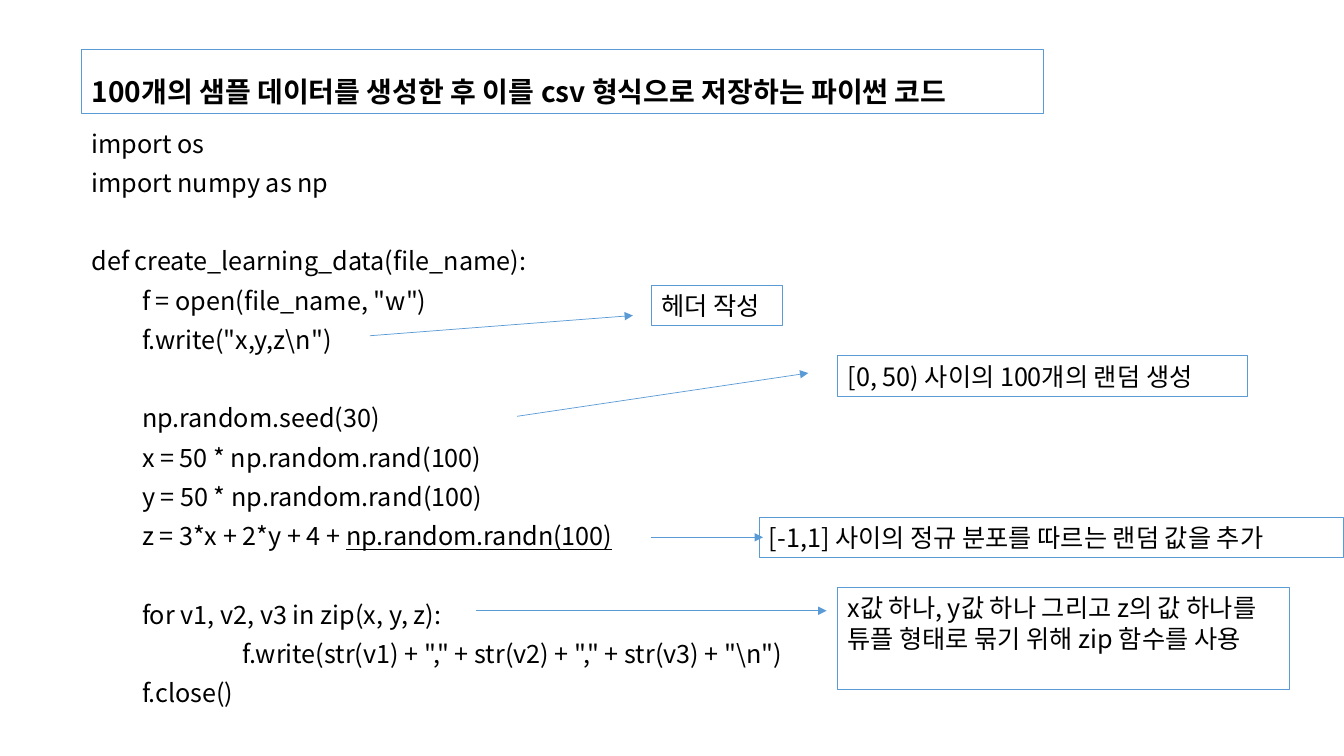
import pptx
import pptx.util
import pptx.dml.color
import pptx.enum.shapes
import pptx.enum.text
import pptx.oxml
import pptx.oxml.ns

Cm = pptx.util.Cm
Pt = pptx.util.Pt
ALIGN = pptx.enum.text.PP_ALIGN
FONT = "Noto Sans CJK KR"
BLACK = pptx.dml.color.RGBColor(0x00, 0x00, 0x00)
BLUE = pptx.dml.color.RGBColor(0x5B, 0x9B, 0xD5)

TITLE = "100개의 샘플 데이터를 생성한 후 이를 csv 형식으로 저장하는 파이썬 코드"
CODE_BLOCKS = [
    [(0, "import os"), (0, "import numpy as np")],
    [(0, "def create_learning_data(file_name):"),
     (1.27, 'f = open(file_name, "w")'),
     (1.27, 'f.write("x,y,z\\n")')],
    [(1.27, "np.random.seed(30)"),
     (1.27, "x = 50 * np.random.rand(100)"),
     (1.27, "y = 50 * np.random.rand(100)"),
     (1.27, "z = 3*x + 2*y + 4 + ", "np.random.randn(100)")],
    [(1.27, "for v1, v2, v3 in zip(x, y, z):"),
     (3.81, 'f.write(str(v1) + "," + str(v2) + "," + str(v3) + "\\n")'),
     (1.27, "f.close()")],
]
NOTES = [
    ("헤더 작성", (16.41, 7.19, 3.3, 1.02), False),
    ("[0, 50) 사이의 100개의 랜덤 생성", (21.11, 8.97, 10.34, 1.02), False),
    ("[-1,1] 사이의 정규 분포를 따르는 랜덤 값을 추가", (19.13, 13.03, 14.73, 1.02), False),
    ("x값 하나, y값 하나 그리고 z의 값 하나를 튜플 형태로 묶기 위해 zip 함수를 사용",
     (21.11, 14.81, 11.38, 2.56), True),
]
ARROWS = [
    (9.32, 8.46, 15.95, 7.95),
    (13.03, 10.49, 20.37, 9.4),
    (16.41, 13.54, 19.23, 13.54),
    (11.99, 15.39, 20.83, 15.39),
]
BLANK_LINE = Pt(28)


def format_run(r, size=18, bold=False):
    r.font.name = FONT
    r.font.size = Pt(size)
    r.font.bold = bold
    r.font.color.rgb = BLACK
    ea = pptx.oxml.parse_xml(
        f'<a:ea {pptx.oxml.ns.nsdecls("a")} typeface="{FONT}"/>')
    r.font._element.find(pptx.oxml.ns.qn("a:latin")).addnext(ea)


def outline(sp, width=0.75):
    sp.line.color.rgb = BLUE
    sp.line.width = Pt(width)


def add_title(s):
    sp = s.shapes.title
    sp.left, sp.top, sp.width, sp.height = map(Cm, (2.06, 1.24, 24.23, 1.63))
    outline(sp)
    tf = sp.text_frame
    tf.text = TITLE
    tf.auto_size = pptx.enum.text.MSO_AUTO_SIZE.NONE
    tf.vertical_anchor = pptx.enum.text.MSO_ANCHOR.TOP
    p = tf.paragraphs[0]
    p.alignment = ALIGN.JUSTIFY
    p.line_spacing = 1.6
    format_run(p.runs[0], 20, True)


def add_code(s):
    tf = s.shapes.add_textbox(*map(Cm, (2.06, 2.87, 22.76, 15.27))).text_frame
    tf.word_wrap = True
    p = tf.paragraphs[0]
    for b, block in enumerate(CODE_BLOCKS):
        for i, (indent, text, *underlined) in enumerate(block):
            if b or i:
                p = tf.add_paragraph()
            p.text = text
            p.alignment = ALIGN.JUSTIFY
            p.line_spacing = 1.3
            if b and i == 0:
                p.space_before = BLANK_LINE
            p._p.get_or_add_pPr().set("marL", str(Cm(indent)))
            for part in underlined:
                r = p.add_run()
                r.text = part
                r.font.underline = True
            for r in p.runs:
                format_run(r)


def add_note(s, text, box, wrap):
    sp = s.shapes.add_textbox(*map(Cm, box))
    outline(sp)
    tf = sp.text_frame
    tf.text = text
    tf.word_wrap = wrap
    format_run(tf.paragraphs[0].runs[0])


def add_arrow(s, ends):
    sp = s.shapes.add_connector(
        pptx.enum.shapes.MSO_CONNECTOR.STRAIGHT, *map(Cm, ends))
    outline(sp, 0.5)
    ns = pptx.oxml.ns.nsdecls("a")
    sp.line._get_or_add_ln().append(
        pptx.oxml.parse_xml(f'<a:tailEnd {ns} type="triangle"/>'))
    sp._element.spPr.append(pptx.oxml.parse_xml(f"<a:effectLst {ns}/>"))


def main():
    prs = pptx.Presentation()
    prs.slide_width, prs.slide_height = Cm(33.87), Cm(19.05)
    s = prs.slides.add_slide(prs.slide_layouts[5])
    add_title(s)
    add_code(s)
    for note in NOTES:
        add_note(s, *note)
    for ends in ARROWS:
        add_arrow(s, ends)
    prs.save("out.pptx")


if __name__ == "__main__":
    main()
